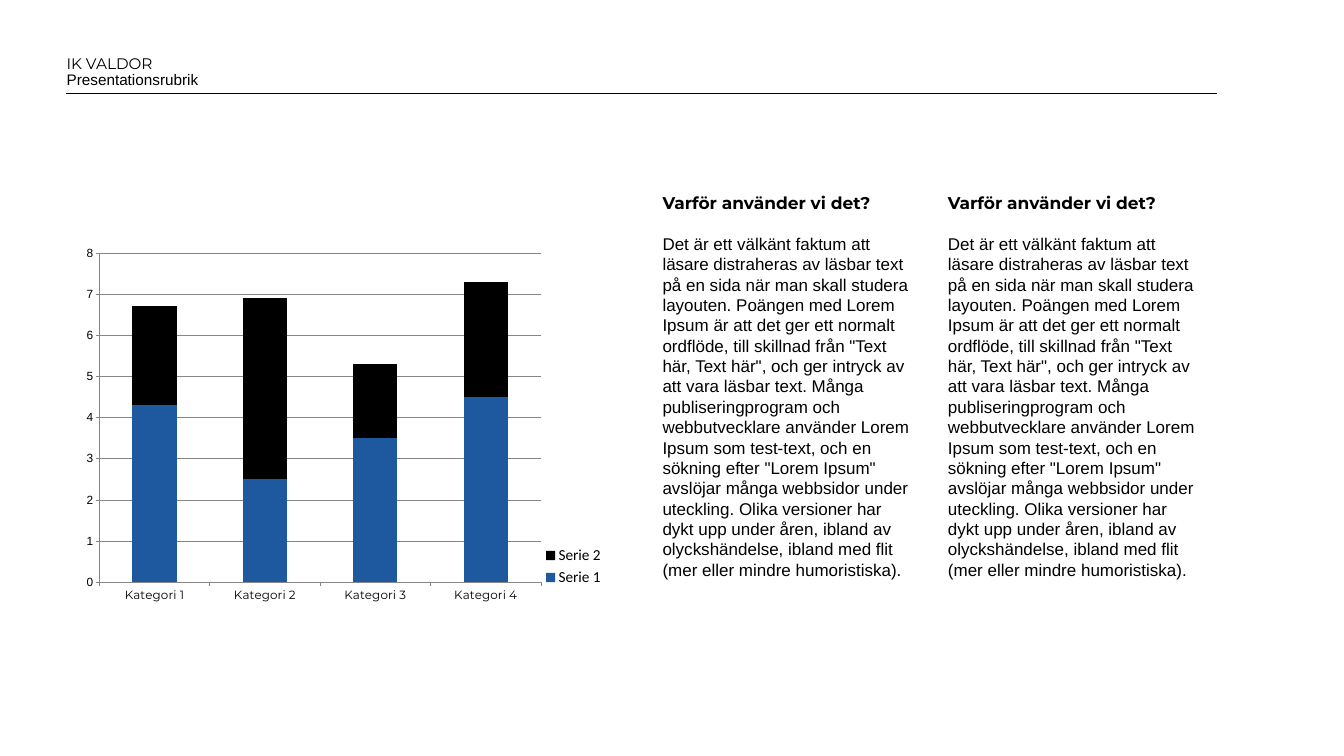
from dataclasses import dataclass

from lxml import etree
from pptx import Presentation
from pptx import util as u
from pptx.chart.data import CategoryChartData
from pptx.dml.color import RGBColor
from pptx.enum import chart as ch, shapes, text
from pptx.oxml import parse_xml
from pptx.oxml.ns import nsdecls, qn


@dataclass(frozen=True)
class Theme:
    ink: RGBColor = RGBColor(0x00, 0x00, 0x00)
    blue: RGBColor = RGBColor(0x1E, 0x59, 0x9F)
    grid: RGBColor = RGBColor(0x86, 0x86, 0x86)
    display: str = "Montserrat"
    body: str = "Arial"
    legend: str = "Calibri"
    header_size: int = 18
    body_size: int = 20
    axis_size: int = 14
    legend_size: int = 18
    leading: int = 24


T = Theme()

HEADING = "Varför använder vi det?"
BODY = (
    "Det är ett välkänt faktum att läsare distraheras av läsbar text på en sida "
    "när man skall studera layouten. Poängen med Lorem Ipsum är att det ger ett "
    'normalt ordflöde, till skillnad från "Text här, Text här", och ger intryck '
    "av att vara läsbar text. Många publiseringprogram och webbutvecklare använder "
    'Lorem Ipsum som test-text, och en sökning efter "Lorem Ipsum" avslöjar många '
    "webbsidor under uteckling. Olika versioner har dykt upp under åren, ibland av "
    "olyckshändelse, ibland med flit (mer eller mindre humoristiska)."
)
CATEGORIES = [f"Kategori {n}" for n in range(1, 5)]
SERIES = [
    ("Serie 1", (4.3, 2.5, 3.5, 4.5), T.blue),
    ("Serie 2", (2.4, 4.4, 1.8, 2.8), T.ink),
]


def style_font(font, name, size, bold=False):
    font.name, font.size, font.bold = name, u.Pt(size), bold
    font.color.rgb = T.ink


def add_run(p, words, name, size, bold=False):
    r = p.add_run()
    r.text = words
    style_font(r.font, name, size, bold)


def place(sp, left, top, width, height):
    """Move a text shape to its box and give it a top-anchored, wrapping frame."""
    sp.left, sp.top = u.Inches(left), u.Inches(top)
    sp.width, sp.height = u.Inches(width), u.Inches(height)
    tf = sp.text_frame
    tf.word_wrap = True
    tf.auto_size = text.MSO_AUTO_SIZE.NONE
    tf.vertical_anchor = text.MSO_ANCHOR.TOP
    return tf


def add_header(s, left, top, width, rule_width):
    box = s.shapes.add_textbox(0, 0, 0, 0)
    lines = [(box, "IK VALDOR", T.display), (s.shapes.title, "Presentationsrubrik", T.body)]
    for i, (sp, words, font) in enumerate(lines):
        p = place(sp, left, top + 0.26 * i, width, 0.4).paragraphs[0]
        p.alignment = text.PP_ALIGN.LEFT
        add_run(p, words, font, T.header_size)

    x, y = left + 0.09, top + 0.68
    rule = s.shapes.add_connector(
        shapes.MSO_CONNECTOR.STRAIGHT,
        u.Inches(x), u.Inches(y), u.Inches(x + rule_width), u.Inches(y))
    rule.line.color.rgb = T.ink
    rule.line.width = u.Pt(0.5)
    etree.SubElement(rule._element.spPr, qn("a:effectLst"))


def manual_layout(x, y, w, h, inner=False):
    """Build a chart layout whose box is given in fractions of the chart."""
    parts = [("layoutTarget", "inner")] if inner else []
    parts += [("xMode", "edge"), ("yMode", "edge"), ("x", x), ("y", y), ("w", w), ("h", h)]
    tags = "".join(f'<c:{tag} val="{val}"/>' for tag, val in parts)
    return parse_xml(
        f'<c:layout {nsdecls("c")}><c:manualLayout>{tags}</c:manualLayout></c:layout>')


def set_layout(parent, layout, index):
    for old in parent.findall(qn("c:layout")):
        parent.remove(old)
    parent.insert(index, layout)


def style_axis(axis, font):
    style_font(axis.tick_labels.font, font, T.axis_size)
    axis.major_tick_mark = ch.XL_TICK_MARK.OUTSIDE
    axis.minor_tick_mark = ch.XL_TICK_MARK.NONE
    axis.format.line.color.rgb = T.grid
    axis.format.line.width = u.Pt(0.75)


def add_stacked_chart(s, left, top, width, height):
    data = CategoryChartData()
    data.categories = CATEGORIES
    for name, values, _ in SERIES:
        data.add_series(name, values)
    chart = s.shapes.add_chart(
        ch.XL_CHART_TYPE.COLUMN_STACKED, u.Inches(left), u.Inches(top),
        u.Inches(width), u.Inches(height), data).chart
    chart.has_title = False
    style_font(chart.font, T.legend, T.legend_size)

    plot = chart.plots[0]
    plot.gap_width, plot.overlap, plot.vary_by_categories = 150, 100, False
    for series, (_, _, color) in zip(plot.series, SERIES):
        series.format.fill.solid()
        series.format.fill.fore_color.rgb = color

    style_axis(chart.category_axis, T.display)
    axis = chart.value_axis
    style_axis(axis, T.body)
    axis.minimum_scale, axis.maximum_scale, axis.major_unit = 0, 8, 1
    axis.has_major_gridlines = True
    axis.major_gridlines.format.line.color.rgb = T.grid
    axis.major_gridlines.format.line.width = u.Pt(0.75)

    chart.has_legend = True
    legend = chart.legend
    legend.position = ch.XL_LEGEND_POSITION.RIGHT
    legend.include_in_layout = False
    style_font(legend.font, T.legend, T.legend_size)
    set_layout(legend._element, manual_layout(0.88, 0.81, 0.12, 0.13), 1)
    plot_area = chart._chartSpace.chart.plotArea
    set_layout(plot_area, manual_layout(0.053, 0.02, 0.824, 0.898, inner=True), 0)


def fill_column(sp, left, top, width, height):
    tf = place(sp, left, top, width, height)
    rows = [(HEADING, T.display, True), (BODY, T.body, False)]
    for i, (words, font, bold) in enumerate(rows):
        p = tf.add_paragraph() if i else tf.paragraphs[0]
        pPr = p._p.get_or_add_pPr()
        pPr.set("marL", "0")
        pPr.set("indent", "0")
        etree.SubElement(pPr, qn("a:buNone"))
        p.alignment = text.PP_ALIGN.LEFT
        p.line_spacing = u.Pt(T.leading)
        p.space_before = u.Pt(T.leading if i else 0)
        add_run(p, words, font, T.body_size, bold)


def add_chart_slide(prs):
    s = prs.slides.add_slide(prs.slide_layouts.get_by_name("Two Content"))
    add_header(s, 0.99, 0.84, 8.67, 18.83)
    add_stacked_chart(s, 1.16, 4.02, 8.77, 6)
    for i, idx in enumerate((1, 2)):
        fill_column(s.placeholders[idx], 10.74 + 4.67 * i, 3.1, 4.25, 8.85)


def main():
    prs = Presentation()
    prs.slide_width, prs.slide_height = u.Inches(21.99), u.Inches(12.37)
    add_chart_slide(prs)
    prs.save("out.pptx")


if __name__ == "__main__":
    main()
